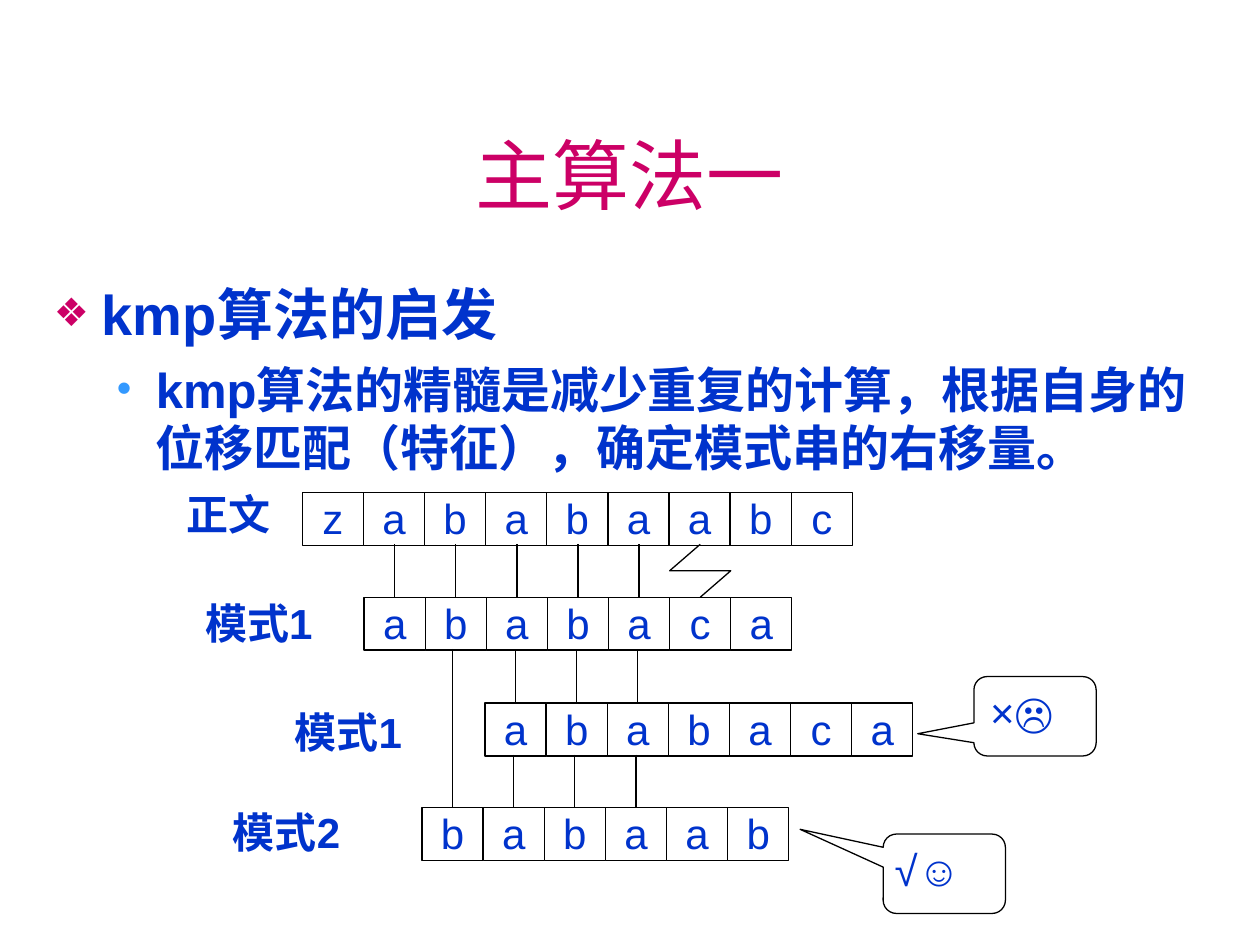
from lxml import etree
from pptx import Presentation
from pptx.dml.color import RGBColor
from pptx.enum.shapes import MSO_CONNECTOR, MSO_SHAPE
from pptx.enum.text import MSO_ANCHOR, PP_ALIGN
from pptx.oxml.ns import qn
from pptx.util import Inches, Pt

CENTER = PP_ALIGN.CENTER
JUSTIFY = PP_ALIGN.JUSTIFY
LEFT = PP_ALIGN.LEFT
MIDDLE = MSO_ANCHOR.MIDDLE
TOP = MSO_ANCHOR.TOP
RECTANGLE = MSO_SHAPE.RECTANGLE
CALLOUT = MSO_SHAPE.ROUNDED_RECTANGULAR_CALLOUT
STRAIGHT = MSO_CONNECTOR.STRAIGHT

FONT = "Arial"
COLORS = {"title": "CC0066", "text": "0033CC", "dot": "3399FF",
          "line": "000000", "fill": "FFFFFF"}
CELL_PITCH = 0.485
CELL_HEIGHT = 0.42
ROW_GAP = 0.42


def color(name):
    """Return the named colour."""
    return RGBColor.from_string(COLORS[name])


def set_frame(shape, insets=(0.1, 0.05, 0.1, 0.05), anchor=TOP):
    """Set wrapping, insets and anchor, and return the text frame."""
    frame = shape.text_frame
    frame.word_wrap = True
    frame.vertical_anchor = anchor
    (frame.margin_left, frame.margin_top,
     frame.margin_right, frame.margin_bottom) = map(Inches, insets)
    return frame


def write(paragraph, text, size=24, bold=False, align=LEFT, name="text"):
    """Write one formatted run into a paragraph."""
    paragraph.alignment = align
    run = paragraph.add_run()
    run.text = text
    run.font.name = FONT
    run.font.size = Pt(size)
    run.font.bold = bold
    run.font.color.rgb = color(name)


def outline(shape):
    """Give a shape the thin black line."""
    shape.line.color.rgb = color("line")
    shape.line.width = Pt(0.75)


def add_box(shapes, preset, box, text, insets, align):
    """Add a white outlined shape with text."""
    shape = shapes.add_shape(preset, *map(Inches, box))
    shape.shadow.inherit = False
    shape.fill.solid()
    shape.fill.fore_color.rgb = color("fill")
    outline(shape)
    frame = set_frame(shape, insets)
    write(frame.paragraphs[0], text, align=align)
    return shape


def add_link(shapes, x, top, bottom):
    """Add a vertical line between two matching cells."""
    link = shapes.add_connector(STRAIGHT, Inches(x), Inches(top),
                                Inches(x), Inches(bottom))
    outline(link)
    etree.SubElement(link._element.spPr, qn("a:effectLst"))


def add_mismatch(shapes, x, top, bottom):
    """Add the zigzag between two cells that differ."""
    middle = (top + bottom) / 2
    half = CELL_PITCH / 2
    points = [(x, top), (x - half, middle), (x + half, middle), (x, bottom)]
    points = [(Inches(across), Inches(down)) for across, down in points]
    builder = shapes.build_freeform(*points[0], scale=1.0)
    builder.add_line_segments(points[1:], close=False)
    zigzag = builder.convert_to_shape()
    zigzag.shadow.inherit = False
    zigzag.fill.background()
    outline(zigzag)


def add_row(slide, left, top, letters, label, label_box,
            links=(), long_link=None, mismatch=None):
    """Add a row of letter cells with its label and links to the row above."""
    shapes = slide.shapes.add_group_shape().shapes
    for index, letter in enumerate(letters):
        box = (left + index * CELL_PITCH, top, CELL_PITCH, CELL_HEIGHT)
        add_box(shapes, RECTANGLE, box, letter, (0, 0, 0, 0), CENTER)

    def center(index):
        """Return the middle of a column."""
        return left + (index + 0.5) * CELL_PITCH

    for index in links:
        add_link(shapes, center(index), top - ROW_GAP, top)
    if long_link is not None:
        add_link(shapes, center(long_link), top - 2 * ROW_GAP - CELL_HEIGHT, top)
    if mismatch is not None:
        add_mismatch(shapes, center(mismatch), top - ROW_GAP, top)
    frame = set_frame(shapes.add_textbox(*map(Inches, label_box)))
    write(frame.paragraphs[0], label, bold=True)


def add_title(slide, box, text):
    """Add the centred title."""
    frame = set_frame(slide.shapes.add_textbox(*map(Inches, box)), anchor=MIDDLE)
    write(frame.paragraphs[0], text, 44, align=CENTER, name="title")


def set_bullet(paragraph, mark, name, percent, margin, hanging):
    """Give a paragraph a coloured bullet and a hanging indent."""
    properties = paragraph._p.get_or_add_pPr()
    properties.set("marL", str(Inches(margin)))
    properties.set("indent", str(-Inches(hanging)))
    bullet_color = etree.SubElement(properties, qn("a:buClr"))
    etree.SubElement(bullet_color, qn("a:srgbClr"), val=COLORS[name])
    etree.SubElement(properties, qn("a:buSzPct"), val=str(percent * 1000))
    etree.SubElement(properties, qn("a:buFont"), typeface=FONT)
    etree.SubElement(properties, qn("a:buChar"), char=mark)


def add_body(slide, box):
    """Add the heading and its explanation as bullets."""
    frame = set_frame(slide.shapes.add_textbox(*map(Inches, box)))
    heading = frame.paragraphs[0]
    write(heading, "kmp算法的启发", 32, True)
    heading.space_before = Pt(8)
    set_bullet(heading, "❖", "title", 70, 0.38, 0.38)
    detail = frame.add_paragraph()
    detail.level = 1
    write(detail, "kmp算法的精髓是减少重复的计算，根据自身的位移匹配（特征），确定模式串的右移量。",
          28, True)
    detail.space_before = Pt(7)
    set_bullet(detail, "•", "dot", 85, 0.81, 0.31)


def add_callout(slide, left, top, text, inset, pointer):
    """Add a verdict callout whose tip lies at the pointer offsets."""
    shape = add_box(slide.shapes, CALLOUT, (left, top, 0.97, 0.63), text,
                    (inset, 0.05, 0.1, 0.05), JUSTIFY)
    shape.adjustments[0], shape.adjustments[1] = pointer


def main():
    """Build and save the slide."""
    presentation = Presentation()
    presentation.slide_width = Inches(10)
    presentation.slide_height = Inches(7.5)
    slide = presentation.slides.add_slide(presentation.slide_layouts[6])
    add_title(slide, (0.33, 0.75, 9.34, 1.25), "主算法一")
    add_body(slide, (0.33, 2.17, 9.34, 4.25))
    add_callout(slide, 7.73, 5.37, "×☹", 0.1, (-0.96, 0.22))
    add_callout(slide, 7.01, 6.62, "√☺", 0.06, (-1.18, -0.56))
    add_row(slide, 2.4, 3.91, "zababaabc", "正文", (1.38, 3.83, 0.94, 0.5))
    add_row(slide, 2.89, 4.74, "ababaca", "模式1", (1.53, 4.69, 1.1, 0.9),
            links=range(5), mismatch=5)
    add_row(slide, 3.85, 5.58, "ababaca", "模式1", (2.24, 5.56, 1.1, 0.9),
            links=range(3))
    add_row(slide, 3.35, 6.41, "babaab", "模式2", (1.75, 6.35, 1.1, 0.9),
            links=range(1, 4), long_link=0)
    presentation.save("out.pptx")


if __name__ == "__main__":
    main()
